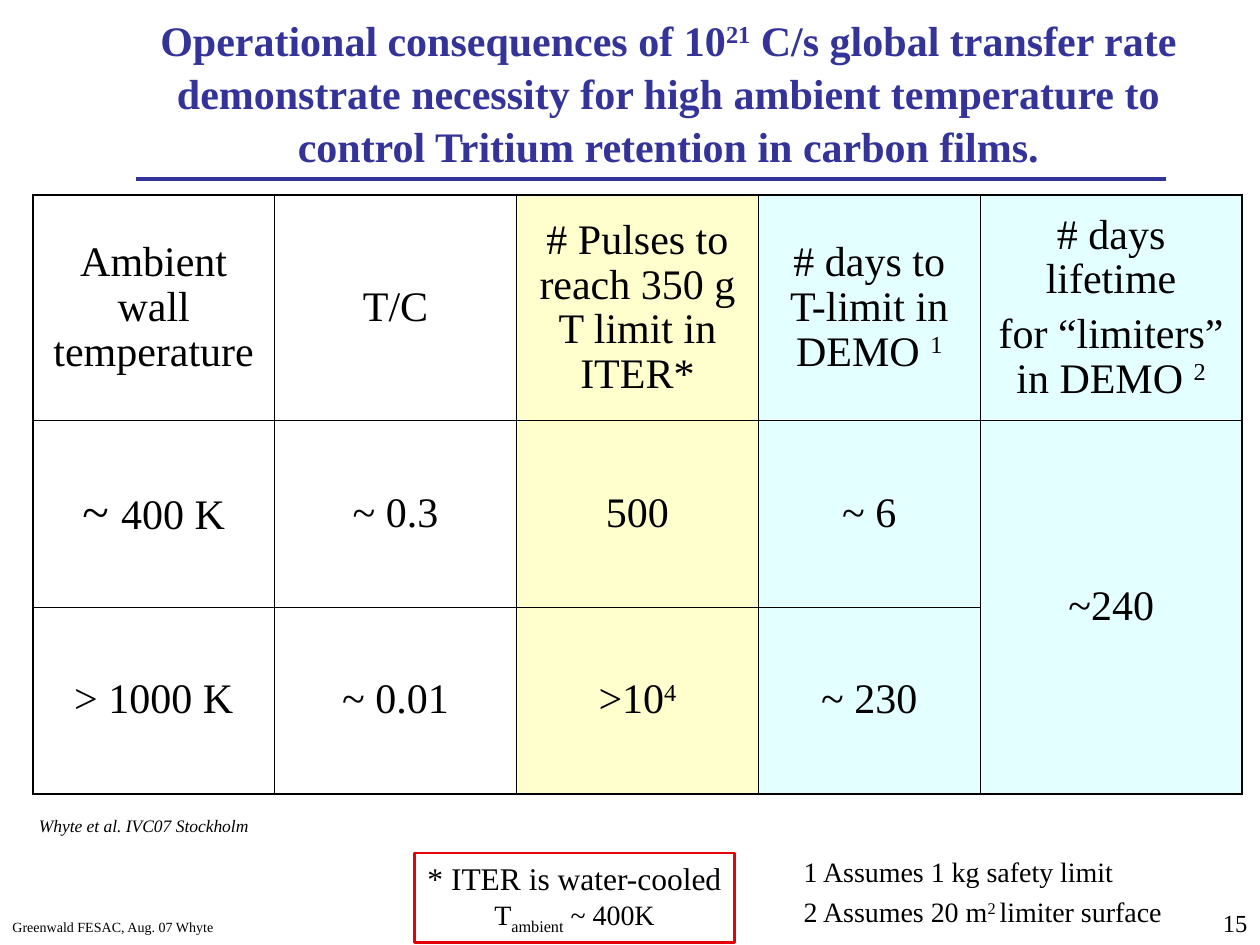
"""Builds the slide on tritium retention limits against ambient wall temperature."""
from dataclasses import dataclass

from lxml import etree
from pptx import Presentation
from pptx.dml.color import RGBColor
from pptx.enum.shapes import MSO_CONNECTOR, MSO_SHAPE
from pptx.enum.text import MSO_ANCHOR, MSO_AUTO_SIZE, PP_ALIGN
from pptx.oxml.ns import qn
from pptx.util import Inches, Pt

LEFT, CENTER, RIGHT = PP_ALIGN.LEFT, PP_ALIGN.CENTER, PP_ALIGN.RIGHT
MIDDLE = MSO_ANCHOR.MIDDLE
NO_FIT, FIT = MSO_AUTO_SIZE.NONE, MSO_AUTO_SIZE.SHAPE_TO_FIT_TEXT
SUPER, SUB = 30, -25


@dataclass(frozen=True)
class Theme:
    font: str = "Times New Roman"
    ink: str = "000000"
    navy: str = "333399"
    red: str = "E3020A"
    white: str = "FFFFFF"
    iter_fill: str = "FFFFCD"
    demo_fill: str = "E4FFFF"
    heading: int = 24
    tilde: int = 28
    box: int = 18
    note: int = 16
    page: int = 14
    source: int = 10
    footer: int = 8
    inner: float = 0.45
    outer: float = 1.08


theme = Theme()


def write(tf, paragraphs, sizes, align=LEFT, color=theme.ink, spacing=1.0, gap=0):
    """Fill a text frame; a run is a string or (text, baseline, size)."""
    for i, (runs, size) in enumerate(zip(paragraphs, sizes)):
        p = tf.paragraphs[0] if i == 0 else tf.add_paragraph()
        p.alignment = align
        p.line_spacing = spacing
        p.space_before = Pt(gap if i else 0)
        p.font.name = theme.font
        p.font.size = Pt(size)
        p.font.color.rgb = RGBColor.from_string(color)
        for run in runs:
            text, baseline, run_size = (run, 0, None) if isinstance(run, str) else run
            r = p.add_run()
            r.text = text
            if baseline:
                r._r.get_or_add_rPr().set("baseline", str(baseline * 1000))
            if run_size:
                r.font.size = Pt(run_size)


def set_border(cell, side, width):
    """Draw one edge of a table cell."""
    ln = etree.SubElement(cell._tc.get_or_add_tcPr(), qn(f"a:ln{side}"), w=str(Pt(width)))
    fill = etree.SubElement(ln, qn("a:solidFill"))
    etree.SubElement(fill, qn("a:srgbClr"), val=theme.ink)


prs = Presentation()
prs.slide_width, prs.slide_height = Inches(10), Inches(7.5)
s = prs.slides.add_slide(prs.slide_layouts[5])

rule = s.shapes.add_connector(
    MSO_CONNECTOR.STRAIGHT, Inches(1.08), Inches(1.42), Inches(9.25), Inches(1.42))
rule.line.color.rgb = RGBColor.from_string(theme.navy)
rule.line.width = Pt(2.25)
etree.SubElement(rule._element.spPr, qn("a:effectLst"))

title = s.shapes.title
title.left, title.top, title.width, title.height = (
    Inches(v) for v in (1, 0.1, 8.61, 1.25))
tf = title.text_frame
tf.auto_size = NO_FIT
tf.vertical_anchor = MIDDLE
write(tf, [["Operational consequences of 10", ("21", SUPER, None),
            " C/s global transfer rate demonstrate necessity for high ambient "
            "temperature to control Tritium retention in carbon films."]],
      [theme.heading], CENTER, theme.navy, 1.05)
tf.paragraphs[0].font.bold = True

rows = [
    [[["Ambient wall temperature"]], [["T/C"]],
     [["# Pulses to reach 350 g T limit in ITER*"]],
     [["# days to T-limit in DEMO ", ("1", SUPER, None)]],
     [["# days lifetime"], ["for “limiters” in DEMO ", ("2", SUPER, None)]]],
    [[[("~ ", 0, theme.tilde), "400 K"]], [["~ 0.3"]], [["500"]], [["~ 6"]], [["~240"]]],
    [[["> 1000 K"]], [["~ 0.01"]], [[">10", ("4", SUPER, None)]], [["~ 230"]], []],
]
col_widths = [1.92, 1.92, 1.92, 1.76, 2.08]
row_heights = [1.79, 1.48, 1.48]
col_fills = [None, None, theme.iter_fill, theme.demo_fill, theme.demo_fill]
last_row, last_col = len(rows) - 1, len(col_widths) - 1

table = s.shapes.add_table(len(rows), len(col_widths), Inches(0.26), Inches(1.55),
                           Inches(sum(col_widths)), Inches(sum(row_heights))).table
table.first_row = table.horz_banding = False
for col, width in zip(table.columns, col_widths):
    col.width = Inches(width)
for row, height in zip(table.rows, row_heights):
    row.height = Inches(height)
table.cell(1, last_col).merge(table.cell(last_row, last_col))

for i, row in enumerate(rows):
    for j, paragraphs in enumerate(row):
        cell = table.cell(i, j)
        cell.vertical_anchor = MIDDLE
        bottom = i == last_row or (i == 1 and j == last_col)
        edges = {"L": j == 0, "R": j == last_col, "T": i == 0, "B": bottom}
        for side, is_outer in edges.items():
            set_border(cell, side, theme.outer if is_outer else theme.inner)
        if col_fills[j]:
            cell.fill.solid()
            cell.fill.fore_color.rgb = RGBColor.from_string(col_fills[j])
        else:
            cell.fill.background()
        write(cell.text_frame, paragraphs, [theme.heading] * len(paragraphs),
              CENTER, spacing=0.96, gap=6)

texts = [
    ((9, 7.16, 1, 0.33), [["15"]], theme.page, RIGHT, 1.0, True, False),
    ((0, 7.24, 1.92, 0.24), [["Greenwald FESAC, Aug. 07 Whyte"]],
     theme.footer, LEFT, 1.0, True, False),
    ((6.28, 6.68, 3.05, 0.74),
     [["1 Assumes 1 kg safety limit"],
      ["2 Assumes 20 m", ("2 ", SUPER, None), "limiter surface"]],
     theme.note, LEFT, 1.2, False, False),
    ((0.21, 6.42, 1.86, 0.27), [["Whyte et al. IVC07 Stockholm"]],
     theme.source, LEFT, 1.0, False, True),
]
for place, paragraphs, size, align, spacing, wrap, italic in texts:
    tf = s.shapes.add_textbox(*(Inches(v) for v in place)).text_frame
    tf.word_wrap = wrap
    tf.auto_size = NO_FIT if wrap else FIT
    write(tf, paragraphs, [size] * len(paragraphs), align, spacing=spacing)
    if italic:
        tf.paragraphs[0].font.italic = True

sp = s.shapes.add_shape(
    MSO_SHAPE.RECTANGLE, Inches(3.29), Inches(6.77), Inches(2.54), Inches(0.71))
sp.shadow.inherit = False
sp.fill.solid()
sp.fill.fore_color.rgb = RGBColor.from_string(theme.white)
sp.line.color.rgb = RGBColor.from_string(theme.red)
sp.line.width = Pt(1.5)
tf = sp.text_frame
tf.word_wrap = False
tf.auto_size = FIT
tf.vertical_anchor = MSO_ANCHOR.TOP
write(tf, [["* ITER is water-cooled"], ["T", ("ambient", SUB, None), " ~ 400K"]],
      [theme.box, theme.note], CENTER)

prs.save("out.pptx")
